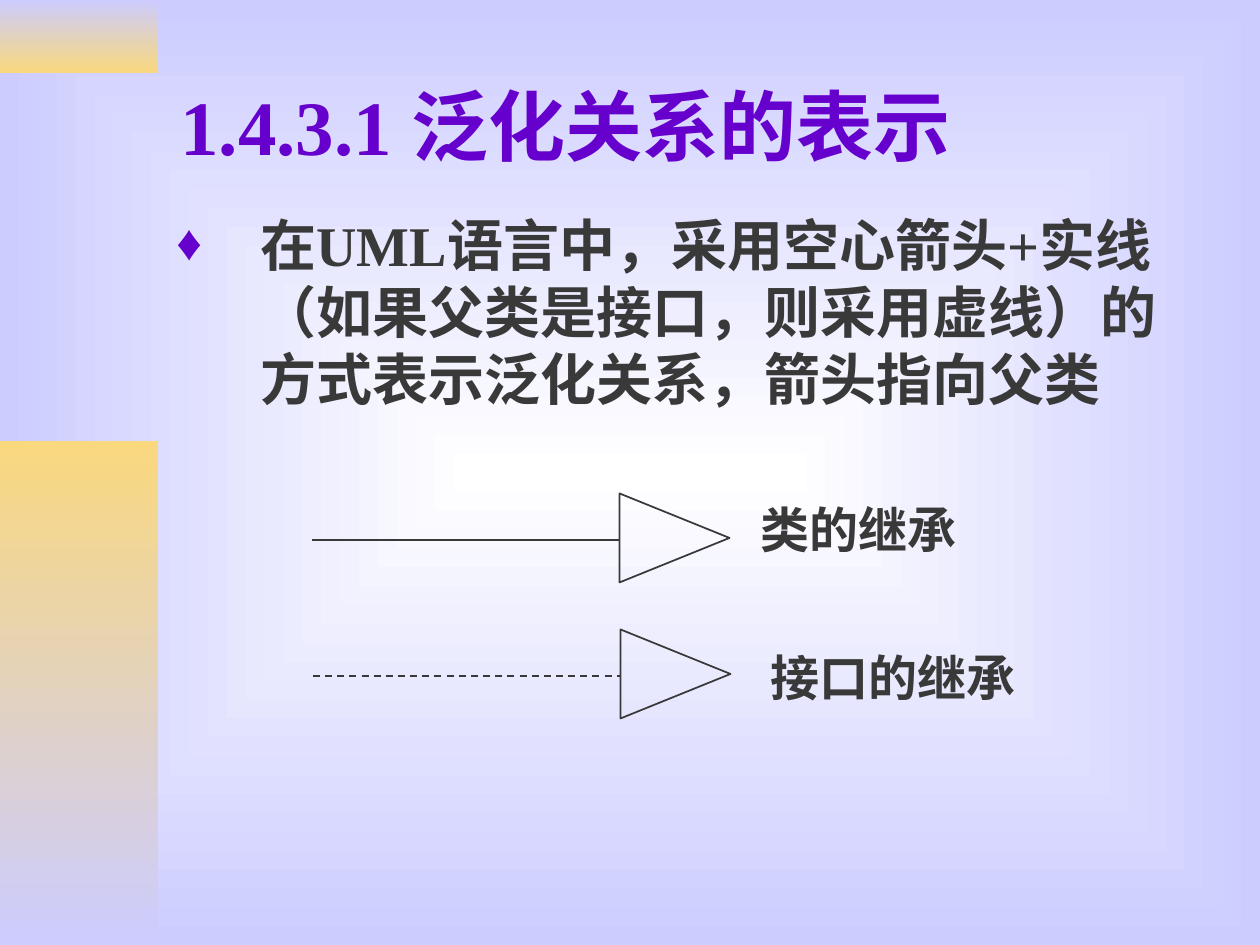
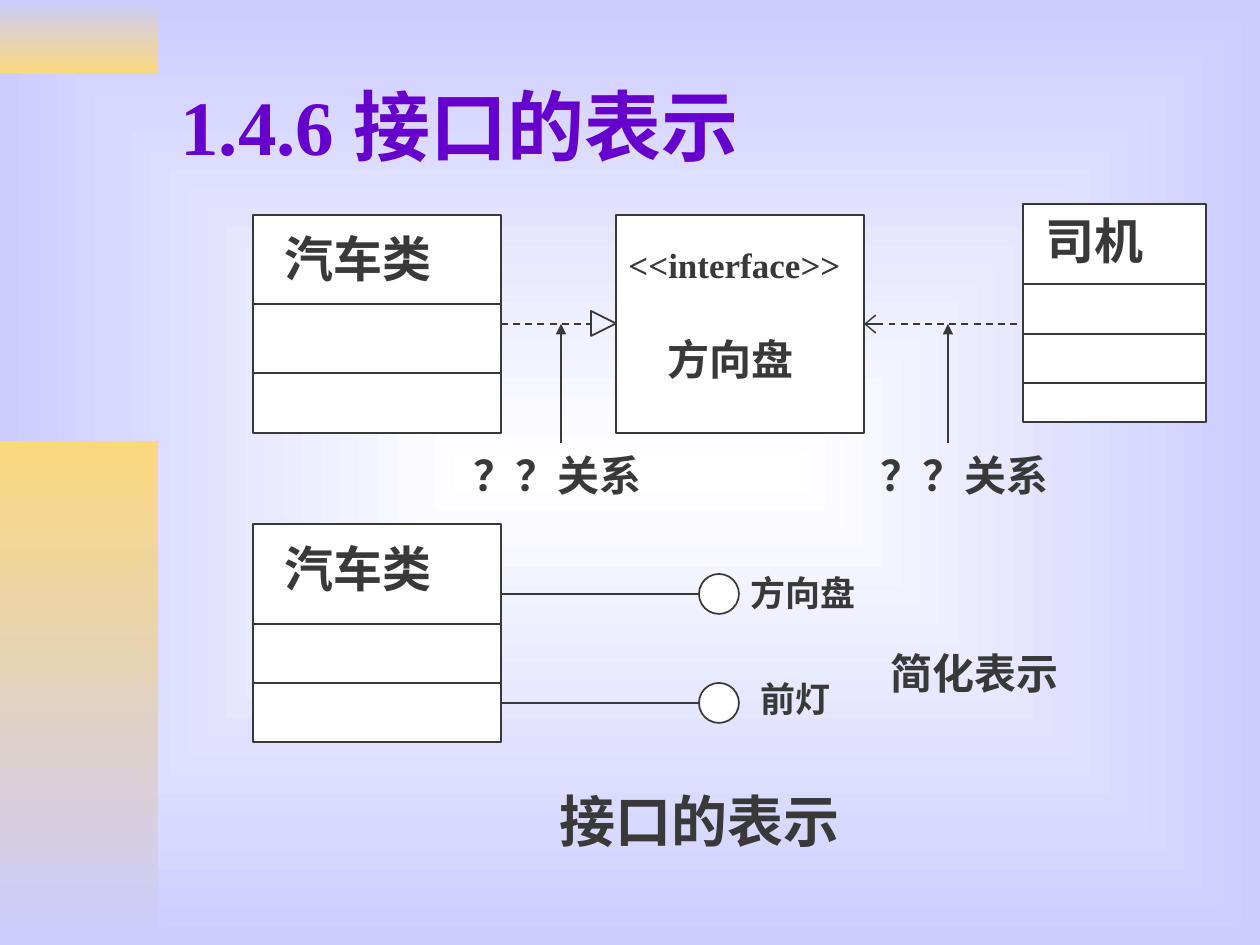
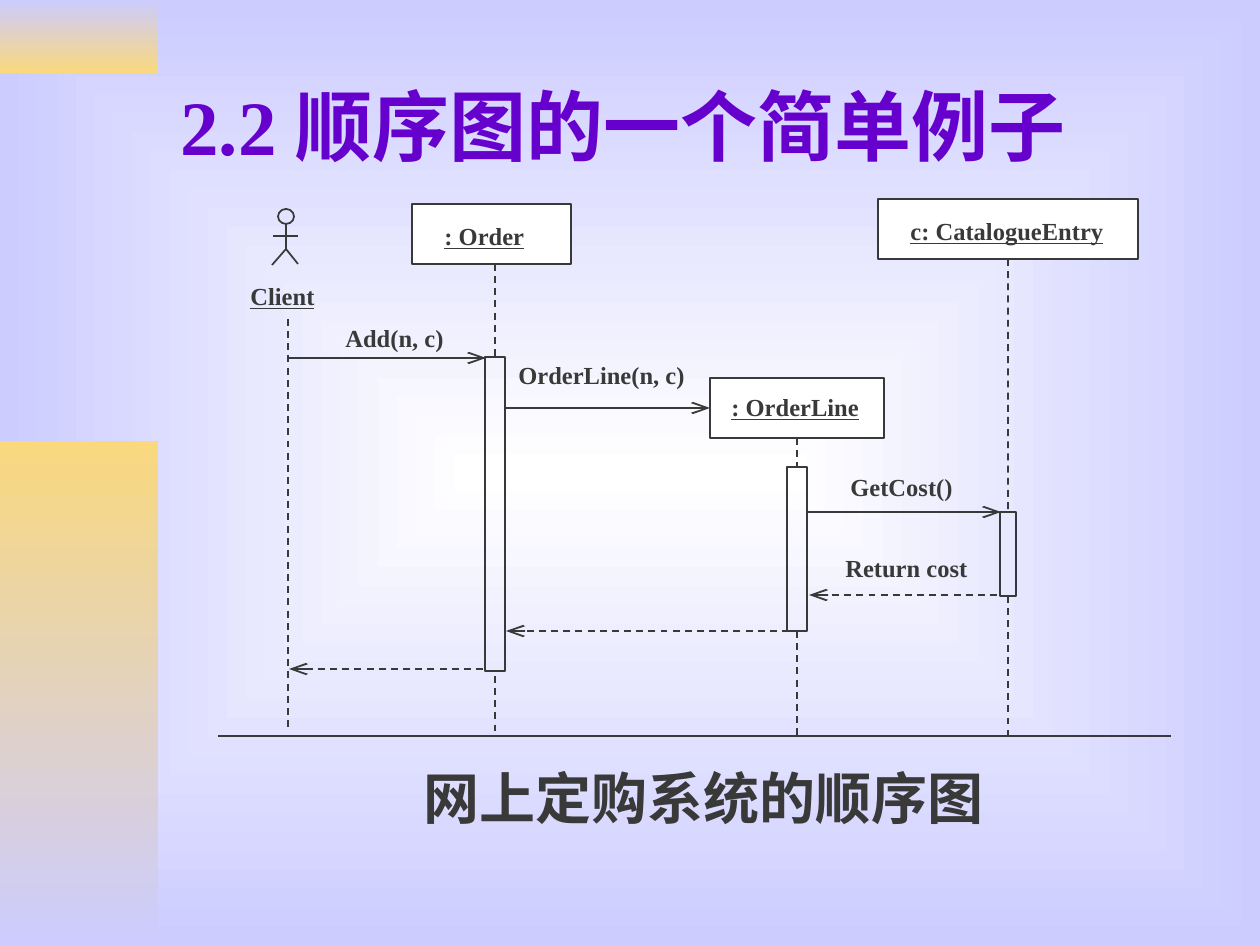
from dataclasses import dataclass

from lxml import etree
from pptx import Presentation
from pptx.dml.color import RGBColor
from pptx.enum import dml, shapes, text
from pptx.oxml.ns import qn
from pptx.util import Pt


@dataclass(frozen=True)
class Theme:
    font: str = "Times New Roman"
    ink: str = "393939"
    accent: str = "6600CC"
    white: str = "FFFFFF"
    lilac: str = "CCCCFF"
    gold: str = "F9D87E"
    title: int = 44
    body: int = 32
    large: int = 28
    medium: int = 24
    small: int = 20
    tiny: int = 14
    stroke: int = 1


THEME = Theme()
PX = 914400 / 126
PAGE_SIZE = (1260, 945)
TITLE_BOX = (168, 42, 1071, 166)
BANDS = [
    ((0, 0, 158, 73), THEME.lilac, THEME.gold),
    ((0, 441, 158, 504), THEME.gold, THEME.lilac),
]
TOP, LEFT, BOTTOM, RIGHT = range(4)
BULLET_INDENT = 84

KINDS = {
    "box": (shapes.MSO_SHAPE.RECTANGLE, THEME.white, 0),
    "bar": (shapes.MSO_SHAPE.RECTANGLE, None, 0),
    "circle": (shapes.MSO_SHAPE.OVAL, THEME.white, 0),
    "head": (shapes.MSO_SHAPE.OVAL, None, 0),
    "triangle": (shapes.MSO_SHAPE.ISOSCELES_TRIANGLE, None, 90),
    "tip": (shapes.MSO_SHAPE.FLOWCHART_EXTRACT, None, 90),
}
WIDE_TIP = {"type": "arrow", "w": "lg", "len": "med"}
LONG_TIP = {"type": "arrow", "w": "med", "len": "lg"}
LINE_STYLES = {
    "plain": (False, None),
    "dash": (True, None),
    "pointer": (False, {"type": "triangle"}),
    "use": (True, WIDE_TIP),
    "call": (False, LONG_TIP),
    "return": (True, LONG_TIP),
}

GENERALIZATION = {
    "title": "1.4.3.1 泛化关系的表示",
    "body": ("在UML语言中，采用空心箭头+实线（如果父类是接口，则采用虚线）"
             "的方式表示泛化关系，箭头指向父类", (164, 204, 1042, 228)),
    "bullet": True,
    "shapes": {
        "class arrow": ("triangle", 630, 483, 89, 110),
        "interface arrow": ("triangle", 631, 619, 89, 110),
    },
    "lines": [
        ((312, 540), (620, 540), "plain"),
        ((313, 676), (621, 676), "dash"),
    ],
    "labels": [
        ("类的继承", 748, 493, 248, THEME.large),
        ("接口的继承", 758, 641, 297, THEME.large),
    ],
}

INTERFACE = {
    "title": "1.4.6 接口的表示",
    "body": ("接口的表示", (164, 780, 1071, 83)),
    "shapes": {
        "car": ("box", 253, 215, 248, 218),
        "simple car": ("box", 253, 524, 248, 218),
        "interface": ("box", 616, 215, 248, 218),
        "driver": ("box", 1023, 204, 183, 218),
        "wheel": ("circle", 699, 574, 40, 40),
        "lamp": ("circle", 699, 683, 40, 40),
        "realization": ("tip", 591, 311, 25, 25),
    },
    "dividers": {
        "car": (304, 373),
        "simple car": (624, 683),
        "driver": (284, 334, 383),
    },
    "lines": [
        ((501, 594), (699, 594), "plain"),
        ((501, 703), (699, 703), "plain"),
        (("car", RIGHT), (591, 324), "dash"),
        ((1017, 324), ("interface", RIGHT), "use"),
        ((948, 443), (948, 324), "pointer"),
        ((561, 443), (561, 324), "pointer"),
    ],
    "labels": [
        ("汽车类", 272, 222, 198, THEME.large),
        ("汽车类", 272, 532, 198, THEME.large),
        ("司机", 1033, 204, 129, THEME.large),
        ("<<interface>>", 616, 237, 238, THEME.small),
        ("方向盘", 655, 327, 169, THEME.medium),
        ("方向盘", 738, 565, 169, THEME.small),
        ("前灯", 748, 671, 118, THEME.small),
        ("？？关系", 461, 443, 208, THEME.medium),
        ("？？关系", 868, 443, 199, THEME.medium),
        ("简化表示", 878, 641, 208, THEME.medium),
    ],
}

SEQUENCE = {
    "title": "2.2 顺序图的一个简单例子",
    "body": ("网上定购系统的顺序图", (168, 765, 1071, 74)),
    "spacing": 0.9,
    "shapes": {
        "client head": ("head", 278, 209, 16, 15),
        "order": ("box", 412, 204, 159, 60),
        "entry": ("box", 878, 199, 260, 60),
        "order line": ("box", 710, 378, 174, 60),
        "order active": ("bar", 485, 357, 20, 314),
        "line active": ("bar", 787, 467, 20, 164),
        "entry active": ("bar", 1000, 512, 16, 84),
    },
    "lines": [
        ((273, 236), (298, 236), "plain"),
        ((286, 224), (286, 249), "plain"),
        ((286, 249), (272, 265), "plain"),
        ((286, 249), (298, 264), "plain"),
        ((218, 736), (1171, 736), "plain"),
        ((288, 319), (288, 731), "dash"),
        ((495, 264), ("order active", TOP), "dash"),
        ((495, 676), (495, 731), "dash"),
        (("order line", BOTTOM), ("line active", TOP), "dash"),
        (("line active", BOTTOM), (797, 736), "dash"),
        (("entry", BOTTOM), ("entry active", TOP), "dash"),
        (("entry active", BOTTOM), (1008, 736), "dash"),
        ((288, 358), (486, 358), "call"),
        ((506, 408), ("order line", LEFT), "call"),
        ((808, 512), (1001, 512), "call"),
        ((997, 595), (809, 595), "return"),
        ((789, 631), (506, 631), "return"),
        ((483, 669), (289, 669), "return"),
    ],
    "objects": [
        (": Order", 432, 215, 120, THEME.tiny),
        ("c: CatalogueEntry", 898, 210, 234, THEME.tiny),
        (": OrderLine", 719, 386, 164, THEME.tiny),
        ("Client", 238, 275, 110, THEME.tiny),
    ],
    "labels": [
        ("Add(n, c)", 333, 317, 140, THEME.tiny),
        ("OrderLine(n, c)", 506, 354, 204, THEME.tiny),
        ("GetCost()", 838, 466, 140, THEME.tiny),
        ("Return cost", 833, 547, 160, THEME.tiny),
    ],
}


def emu(*lengths):
    return [round(length * PX) for length in lengths]


def rgb(value):
    return RGBColor.from_string(value)


def fill_gradient(fill, first, last):
    fill.gradient()
    for stop, color in zip(fill.gradient_stops, (first, last)):
        stop.color.rgb = rgb(color)


def set_background(master):
    fill_gradient(master.background.fill, THEME.white, THEME.lilac)
    gradient = next(master.element.iter(qn("a:gradFill")))
    gradient.remove(gradient.find(qn("a:lin")))
    path = etree.SubElement(gradient, qn("a:path"), path="rect")
    etree.SubElement(path, qn("a:fillToRect"), l="50000", t="50000", r="50000", b="50000")


def add_band(page, place, first, last):
    band = page.shapes.add_shape(shapes.MSO_SHAPE.RECTANGLE, *emu(*place))
    band.shadow.inherit = False
    fill_gradient(band.fill, first, last)
    band.fill.gradient_angle = 270
    band.line.fill.background()


def add_bullet(para):
    indent = emu(BULLET_INDENT)[0]
    properties = para._p.get_or_add_pPr()
    properties.set("marL", str(indent))
    properties.set("indent", str(-indent))
    color = etree.SubElement(properties, qn("a:buClr"))
    etree.SubElement(color, qn("a:srgbClr"), val=THEME.accent)
    etree.SubElement(properties, qn("a:buSzPct"), val="90000")
    etree.SubElement(properties, qn("a:buFont"), typeface=THEME.font)
    etree.SubElement(properties, qn("a:buChar"), char="♦")


def add_text(page, words, place, size, color=THEME.ink, bullet=False, underline=False):
    box = page.shapes.add_textbox(*emu(*place))
    box.text_frame.word_wrap = True
    para = box.text_frame.paragraphs[0]
    para.text = words
    if bullet:
        add_bullet(para)
    font = para.font
    font.name, font.size, font.bold = THEME.font, Pt(size), True
    font.color.rgb = rgb(color)
    if underline:
        font.underline = True
    return box.text_frame


def add_label(page, label, underline=False):
    words, left, top, width, size = label
    height = round(size * 2.1 + 13)
    add_text(page, words, (left, top, width, height), size, underline=underline)


def add_outline(page, kind, *place):
    preset, color, rotation = KINDS[kind]
    shape = page.shapes.add_shape(preset, *emu(*place))
    shape.shadow.inherit = False
    shape.rotation = rotation
    if color:
        shape.fill.solid()
        shape.fill.fore_color.rgb = rgb(color)
    else:
        shape.fill.background()
    shape.line.color.rgb = rgb(THEME.ink)
    shape.line.width = Pt(THEME.stroke)
    return shape


def add_line(page, drawn, start, end, style):
    points = [(0, 0) if point[0] in drawn else point for point in (start, end)]
    line = page.shapes.add_connector(shapes.MSO_CONNECTOR.STRAIGHT, *emu(*points[0], *points[1]))
    for point, join in ((start, line.begin_connect), (end, line.end_connect)):
        if point[0] in drawn:
            join(drawn[point[0]], point[1])
    dashed, tip = LINE_STYLES[style]
    line.line.color.rgb = rgb(THEME.ink)
    line.line.width = Pt(THEME.stroke)
    if dashed:
        line.line.dash_style = dml.MSO_LINE.DASH
    if tip:
        etree.SubElement(line.line._get_or_add_ln(), qn("a:tailEnd"), **tip)
    etree.SubElement(line._element.spPr, qn("a:effectLst"))


def add_page(deck, content):
    page = deck.slides.add_slide(deck.slide_layouts[6])
    for band in BANDS:
        add_band(page, *band)
    title = add_text(page, content["title"], TITLE_BOX, THEME.title, THEME.accent)
    title.vertical_anchor = text.MSO_ANCHOR.MIDDLE

    bullet = content.get("bullet", False)
    body = add_text(page, *content["body"], THEME.body, bullet=bullet).paragraphs[0]
    if not bullet:
        body.alignment = text.PP_ALIGN.CENTER
    if "spacing" in content:
        body.line_spacing = content["spacing"]

    drawn = {name: add_outline(page, *outline) for name, outline in content["shapes"].items()}
    for name, heights in content.get("dividers", {}).items():
        _, left, _, width, _ = content["shapes"][name]
        for y in heights:
            add_line(page, drawn, (left, y), (left + width, y), "plain")
    for line in content["lines"]:
        add_line(page, drawn, *line)
    for label in content.get("objects", []):
        add_label(page, label, underline=True)
    for label in content["labels"]:
        add_label(page, label)


def main():
    deck = Presentation()
    deck.slide_width, deck.slide_height = emu(*PAGE_SIZE)
    set_background(deck.slide_master)
    for content in (GENERALIZATION, INTERFACE, SEQUENCE):
        add_page(deck, content)
    deck.save("out.pptx")


if __name__ == "__main__":
    main()
